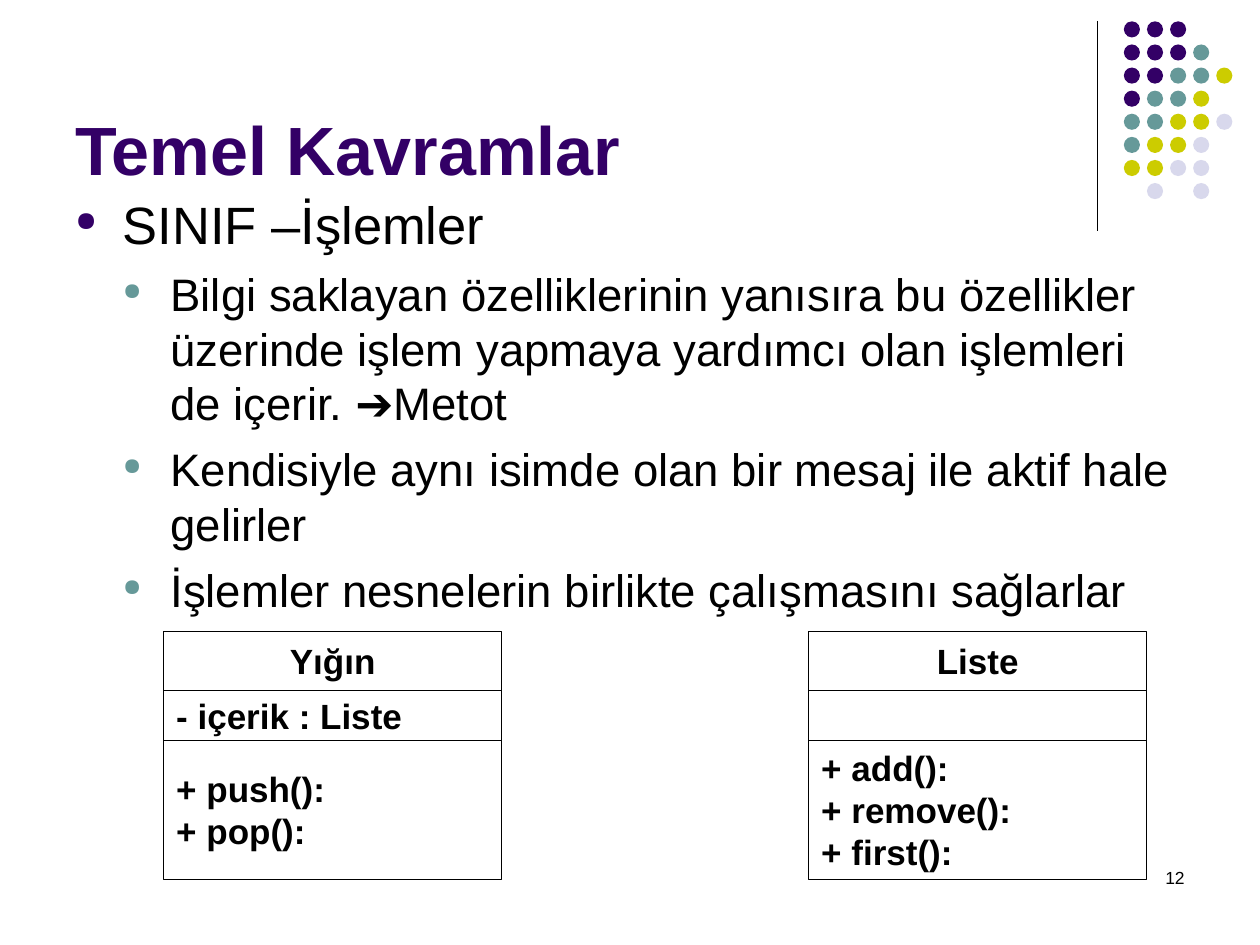
from dataclasses import dataclass

from lxml import etree
from pptx import Presentation
from pptx.dml.color import RGBColor
from pptx.enum import shapes, text
from pptx.oxml import ns
from pptx.util import Pt

BLACK = RGBColor(0x00, 0x00, 0x00)
PURPLE = RGBColor(0x33, 0x00, 0x66)
TEAL = RGBColor(0x66, 0x99, 0x99)
LIME = RGBColor(0xCC, 0xCC, 0x00)
LAVENDER = RGBColor(0xD8, 0xD8, 0xEC)

LEFT, CENTER, RIGHT = text.PP_ALIGN.LEFT, text.PP_ALIGN.CENTER, text.PP_ALIGN.RIGHT
TOP, MIDDLE, BOTTOM = (text.MSO_ANCHOR.TOP, text.MSO_ANCHOR.MIDDLE,
                       text.MSO_ANCHOR.BOTTOM)

# Dot ornament: one letter per dot, a space where there is none
DOT_COLORS = {"P": PURPLE, "T": TEAL, "L": LIME, "V": LAVENDER}
DOT_ROWS = ("PPP", "PPPT", "PPTTL", "PTTL", "TTLLV", "TLLV", "LLVV", " V V")
DOT_LEFT, DOT_TOP, DOT_PITCH, DOT_SIZE = 642.2, 12.2, 13.2, 9.2


@dataclass(frozen=True)
class Box:
    left: float
    top: float
    width: float
    height: float

    def lengths(self) -> list:
        return [Pt(v) for v in (self.left, self.top, self.width, self.height)]


@dataclass(frozen=True)
class Line:
    words: str
    size: float
    color: RGBColor = BLACK
    bold: bool = False
    align: text.PP_ALIGN = LEFT
    before: float = 0
    level: int = 0
    bullet: RGBColor | None = None


@dataclass(frozen=True)
class UmlClass:
    left: float
    name: str
    attributes: tuple
    operations: tuple


def add_bullet(paragraph, level: int, color: RGBColor) -> None:
    indent = Pt(27.2)
    props = paragraph._p.get_or_add_pPr()
    props.set("marL", str(indent * (level + 1)))
    props.set("indent", str(-indent))
    bullet_color = etree.SubElement(props, ns.qn("a:buClr"))
    etree.SubElement(bullet_color, ns.qn("a:srgbClr"), val=str(color))
    etree.SubElement(props, ns.qn("a:buSzPct"), val="52000")
    etree.SubElement(props, ns.qn("a:buChar"), char="●")


def write(frame, lines: list, anchor, wrap: bool = True) -> None:
    frame.word_wrap = wrap
    frame.vertical_anchor = anchor
    for i, line in enumerate(lines):
        paragraph = frame.paragraphs[0] if i == 0 else frame.add_paragraph()
        paragraph.alignment = line.align
        paragraph.level = line.level
        if i:
            paragraph.space_before = Pt(line.before)
        if line.bullet is not None:
            add_bullet(paragraph, line.level, line.bullet)
        run = paragraph.add_run()
        run.text = line.words
        formats = {"name": "Arial", "size": Pt(line.size), "bold": line.bold}
        for key, value in formats.items():
            setattr(run.font, key, value)
        run.font.color.rgb = line.color


def add_text(slide, box: Box, lines: list, anchor=TOP) -> None:
    write(slide.shapes.add_textbox(*box.lengths()).text_frame, lines, anchor)


def add_dots(slide) -> None:
    for row, letters in enumerate(DOT_ROWS):
        for column, letter in enumerate(letters):
            if letter == " ":
                continue
            box = Box(DOT_LEFT + column * DOT_PITCH, DOT_TOP + row * DOT_PITCH,
                      DOT_SIZE, DOT_SIZE)
            dot = slide.shapes.add_shape(shapes.MSO_SHAPE.OVAL, *box.lengths())
            dot.shadow.inherit = False
            dot.fill.solid()
            dot.fill.fore_color.rgb = DOT_COLORS[letter]
            dot.line.fill.background()


def add_divider(slide) -> None:
    divider = slide.shapes.add_connector(
        shapes.MSO_CONNECTOR.STRAIGHT, Pt(627), Pt(12), Pt(627), Pt(132))
    divider.line.color.rgb = BLACK
    divider.line.width = Pt(0.75)
    etree.SubElement(divider._element.spPr, ns.qn("a:effectLst"))


def add_uml_class(slide, uml: UmlClass) -> None:
    top = 360.7
    sections = (((uml.name,), 33.8, CENTER), (uml.attributes, 28.5, LEFT),
                (uml.operations, 79.4, LEFT))
    for words, height, align in sections:
        box = Box(uml.left, top, 193, height)
        section = slide.shapes.add_shape(shapes.MSO_SHAPE.RECTANGLE, *box.lengths())
        section.shadow.inherit = False
        section.fill.background()
        section.line.color.rgb = BLACK
        section.line.width = Pt(0.75)
        lines = [Line(w, 20, bold=True, align=align) for w in words]
        write(section.text_frame, lines, MIDDLE, wrap=False)
        top += height


def main() -> None:
    deck = Presentation()
    deck.slide_width, deck.slide_height = Pt(720), Pt(540)
    slide = deck.slides.add_slide(deck.slide_layouts[6])

    # Corner ornament
    add_divider(slide)
    add_dots(slide)

    # Page number, title and bullets
    add_text(slide, Box(516, 492, 168, 36), [Line("12", 10, align=RIGHT)])
    add_text(slide, Box(36, 9.5, 594, 102),
             [Line("Temel Kavramlar", 39, PURPLE, bold=True)], BOTTOM)
    details = (
        "Bilgi saklayan özelliklerinin yanısıra bu özellikler üzerinde işlem "
        "yapmaya yardımcı olan işlemleri de içerir. ➔Metot",
        "Kendisiyle aynı isimde olan bir mesaj ile aktif hale gelirler",
        "İşlemler nesnelerin birlikte çalışmasını sağlarlar",
    )
    add_text(slide, Box(36, 106, 648, 253.5),
             [Line("SINIF –İşlemler", 30, bullet=PURPLE)]
             + [Line(d, 26, before=6.5, level=1, bullet=TEAL) for d in details])

    # Class diagrams
    for uml in (
        UmlClass(93.6, "Yığın", ("- içerik : Liste",), ("+ push():", "+ pop():")),
        UmlClass(462.2, "Liste", (), ("+ add():", "+ remove():", "+ first():")),
    ):
        add_uml_class(slide, uml)

    deck.save("out.pptx")


if __name__ == "__main__":
    main()
